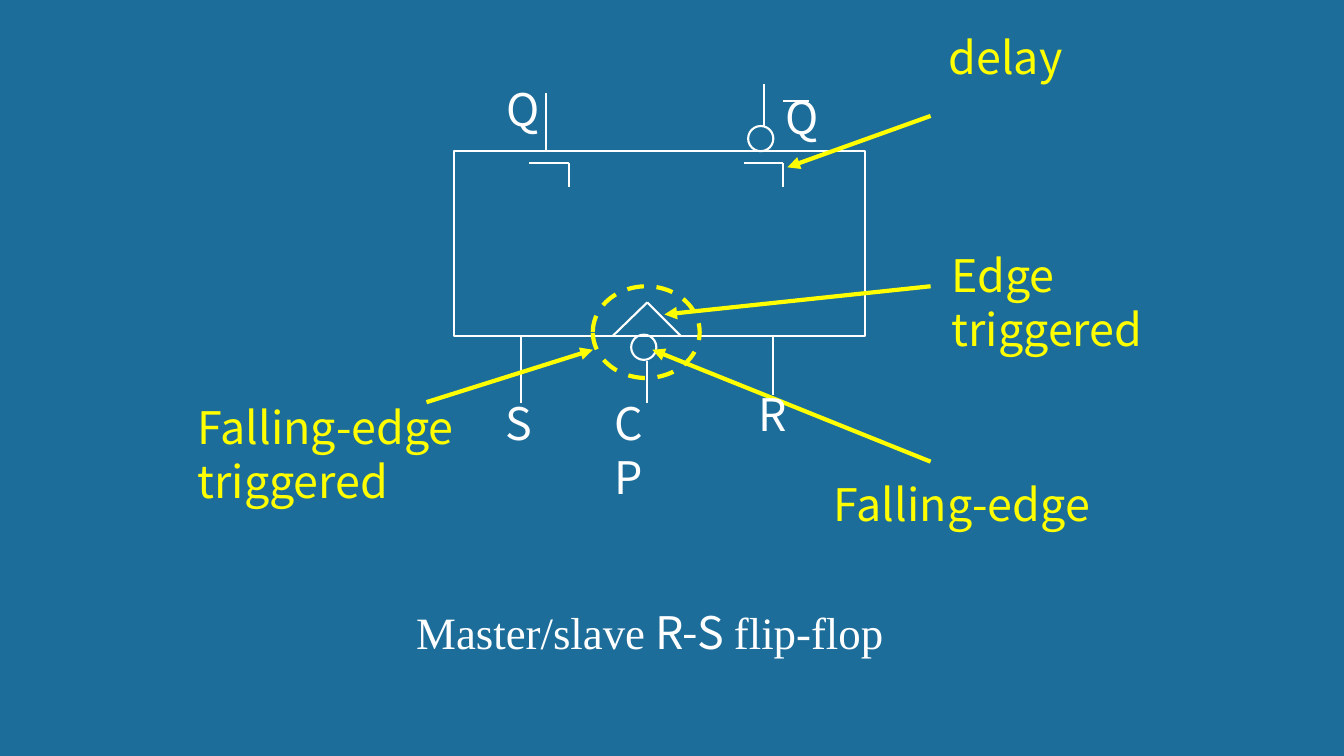
from lxml.etree import SubElement
from pptx import Presentation
from pptx.dml.color import RGBColor
from pptx.enum.dml import MSO_LINE
from pptx.enum.shapes import MSO_CONNECTOR, MSO_SHAPE
from pptx.oxml.ns import qn
from pptx.util import Pt

PX = 9144
WHITE, YELLOW = "FFFFFF", "FFFF00"
SANS, SERIF = "Noto Sans CJK SC", "Times New Roman"


def color(hex_value):
    return RGBColor.from_string(hex_value)


def style_line(line, hex_value, width):
    line.color.rgb = color(hex_value)
    line.width = Pt(width)


deck = Presentation()
deck.slide_width, deck.slide_height = 1333 * PX, 750 * PX
slide = deck.slides.add_slide(deck.slide_layouts[6])
slide.background.fill.solid()
slide.background.fill.fore_color.rgb = color("1C6D9A")

outlines = [
    (MSO_SHAPE.RECTANGLE, 450, 150, 408, 183, WHITE, 1.5, None),
    (MSO_SHAPE.OVAL, 742, 125, 25, 25, WHITE, 1.5, None),
    (MSO_SHAPE.OVAL, 626, 332, 25, 25, WHITE, 1.5, None),
    (MSO_SHAPE.OVAL, 588, 284, 106, 91, YELLOW, 3, MSO_LINE.DASH),
]
for kind, left, top, width, height, hue, weight, dash in outlines:
    outline = slide.shapes.add_shape(kind, left * PX, top * PX, width * PX, height * PX)
    outline.shadow.inherit = False
    outline.fill.background()
    style_line(outline.line, hue, weight)
    if dash:
        outline.line.dash_style = dash

pins = [
    (517, 333, 517, 400),
    (642, 358, 642, 400),
    (767, 333, 767, 392),
    (542, 150, 542, 92),
    (758, 125, 758, 83),
]
clock_wedge = [(608, 333, 642, 300), (642, 300, 675, 333)]
q_bar = [(777, 100, 802, 100)]
delay_marks = []
for corner in (564, 777):
    delay_marks += [(corner - 39, 162, corner, 162), (corner, 162, corner, 186)]
pointers = [
    (923, 115, 781, 166),
    (923, 284, 659, 312),
    (923, 458, 647, 347),
    (423, 399, 588, 347),
]
wires = pins + clock_wedge + q_bar + delay_marks
for ends in wires + pointers:
    stroke = slide.shapes.add_connector(MSO_CONNECTOR.STRAIGHT, *(end * PX for end in ends))
    is_pointer = ends in pointers
    style_line(stroke.line, YELLOW if is_pointer else WHITE, 3 if is_pointer else 1.5)
    if is_pointer:
        SubElement(stroke.line._get_or_add_ln(), qn("a:tailEnd"), type="triangle")
    SubElement(stroke._element.spPr, qn("a:effectLst"))

labels = [
    ("S", 492, 388, 42, 63, WHITE),
    ("R", 742, 379, 42, 63, WHITE),
    ("CP", 600, 388, 65, 63, WHITE),
    ("Q", 493, 76, 42, 63, WHITE),
    ("Q", 769, 84, 42, 63, WHITE),
    ("Edge triggered", 934, 241, 244, 118, YELLOW),
    ("delay", 931, 25, 216, 64, YELLOW),
    ("Falling-edge", 817, 468, 334, 64, YELLOW),
    ("Falling-edge triggered", 186, 392, 299, 118, YELLOW),
]
for wording, left, top, width, height, hue in labels:
    label = slide.shapes.add_textbox(left * PX, top * PX, width * PX, height * PX).text_frame
    label.word_wrap = True
    label.text = wording
    font = label.paragraphs[0].font
    font.name, font.size = SANS, Pt(32)
    font.color.rgb = color(hue)

caption = slide.shapes.add_textbox(403 * PX, 595 * PX, 511 * PX, 64 * PX).text_frame
caption.word_wrap = True
caption_line = caption.paragraphs[0]
caption_line.font.size = Pt(32)
caption_line.font.color.rgb = color(WHITE)
for wording, typeface in (("Master/slave", SERIF), (" R-S ", SANS), ("flip-flop", SERIF)):
    run = caption_line.add_run()
    run.text = wording
    run.font.name = typeface

deck.save("out.pptx")
